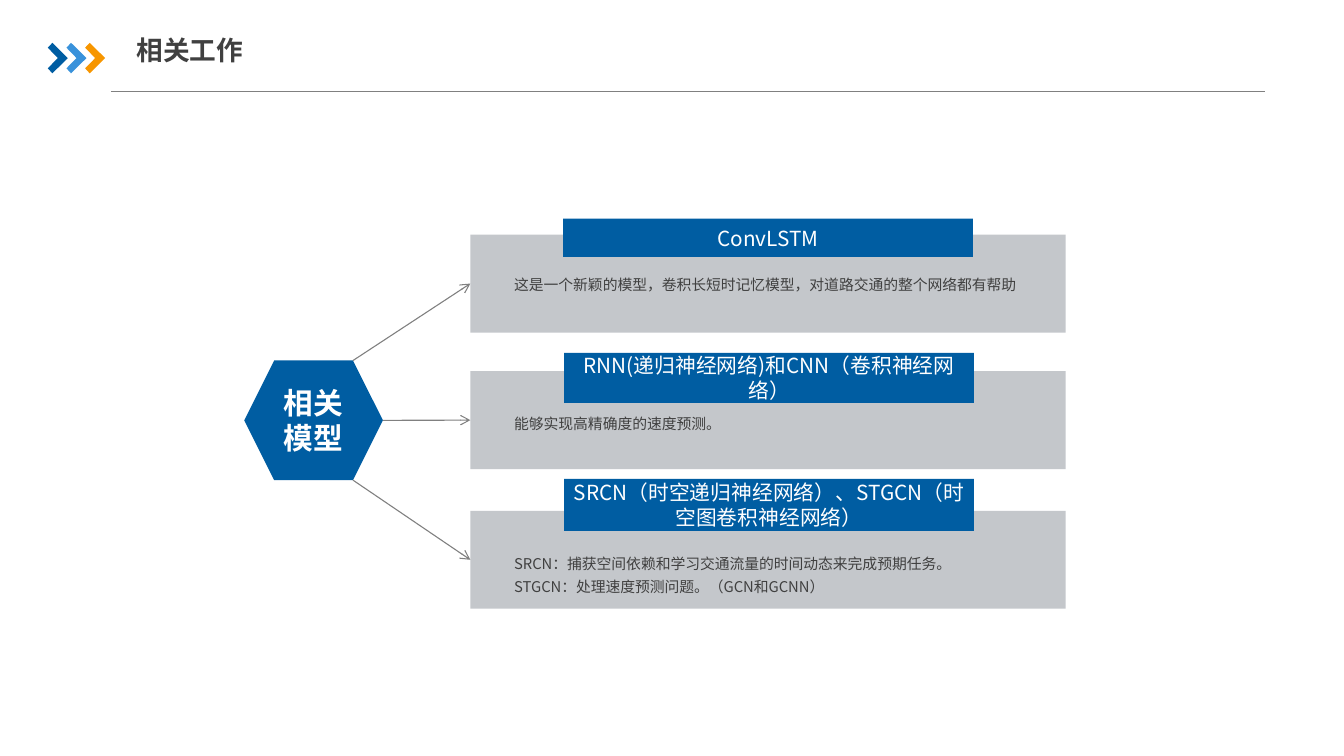
from lxml import etree
from pptx import Presentation
from pptx.dml.color import RGBColor
from pptx.enum import shapes, text
from pptx.oxml import ns
from pptx.util import Pt

BLUE = RGBColor(0x00, 0x5D, 0xA2)
SKY = RGBColor(0x39, 0x92, 0xDB)
ORANGE = RGBColor(0xF7, 0x96, 0x00)
CARD = RGBColor(0xC4, 0xC7, 0xCB)
LINE = RGBColor(0x80, 0x80, 0x80)
DARK = RGBColor(0x40, 0x40, 0x40)
WHITE = RGBColor(0xFF, 0xFF, 0xFF)
FONT = "Noto Sans CJK SC"

CHEVRON = [(0, 3.3), (3.1, 0), (13.5, 10.3), (3.1, 20.6), (0, 17.2), (6.8, 10.3)]

# Card top, label (left, top, height), body top, body lines; tops are page positions
MODELS = [
    (158.4, (380.2, 147.6, 25.9), 180, "ConvLSTM",
     ["这是一个新颖的模型，卷积长短时记忆模型，对道路交通的整个网络都有帮助"]),
    (250.6, (380.9, 238.3, 33.8), 273.6, "RNN(递归神经网络)和CNN（卷积神经网络）",
     ["能够实现高精确度的速度预测。"]),
    (344.9, (380.9, 323.3, 35.3), 367.9, "SRCN（时空递归神经网络）、STGCN（时空图卷积神经网络）",
     ["SRCN：捕获空间依赖和学习交通流量的时间动态来完成预期任务。",
      "STGCN：处理速度预测问题。（GCN和GCNN）"]),
]


def write(sp, lines, size, color, bold=False, align=None, spacing=None,
          anchor=text.MSO_ANCHOR.MIDDLE, inset=(5.8, 2.9)):
    tf = sp.text_frame
    tf.word_wrap = True
    tf.vertical_anchor = anchor
    tf.margin_left = tf.margin_right = Pt(inset[0])
    tf.margin_top = tf.margin_bottom = Pt(inset[1])
    for i, line in enumerate(lines):
        p = tf.add_paragraph() if i else tf.paragraphs[0]
        p.alignment = align
        p.line_spacing = spacing
        r = p.add_run()
        r.text = line
        r.font.size, r.font.bold, r.font.name = Pt(size), bold, FONT
        r.font.color.rgb = color
        # East Asian typeface
        etree.SubElement(r._r.get_or_add_rPr(), ns.qn("a:ea"), typeface=FONT)


def paint(sp, color):
    sp.shadow.inherit = False
    sp.fill.solid()
    sp.fill.fore_color.rgb = color
    sp.line.fill.background()
    return sp


def add_box(slide, kind, box, color):
    return paint(slide.shapes.add_shape(kind, *map(Pt, box)), color)


def add_line(slide, start, end, arrow=False):
    line = slide.shapes.add_connector(
        shapes.MSO_CONNECTOR.STRAIGHT, *map(Pt, (*start, *end)))
    line.line.color.rgb = LINE
    line.line.width = Pt(0.75)
    if arrow:
        etree.SubElement(line.line._get_or_add_ln(), ns.qn("a:tailEnd"), type="arrow")
    etree.SubElement(line._element.spPr, ns.qn("a:effectLst"))
    return line


def add_header(slide, left, top, width, height):
    # Rule and chevrons
    add_line(slide, (left + 42.6, top + height), (left + width, top + height))
    for i, color in enumerate((BLUE, SKY, ORANGE)):
        pts = [(Pt(left + 12.6 * i + x), Pt(top + 10.2 + y)) for x, y in CHEVRON]
        builder = slide.shapes.build_freeform(*pts[0])
        builder.add_line_segments(pts[1:], close=True)
        paint(builder.convert_to_shape(), color)
    # Title
    sp = slide.shapes.add_textbox(Pt(left + 59.9), Pt(top), Pt(639.4), Pt(30.2))
    write(sp, ["相关工作"], 18, DARK, bold=True, inset=(0, 3.6))


def add_model(slide, left, width, model):
    top, (label_left, label_top, label_height), body_top, name, lines = model
    rect = shapes.MSO_SHAPE.RECTANGLE
    card = add_box(slide, rect, (left, top, width, 66.2), CARD)
    label = add_box(slide, rect, (label_left, label_top, 276.5, label_height), BLUE)
    write(label, [name], 14, WHITE, align=text.PP_ALIGN.CENTER)
    body = slide.shapes.add_textbox(
        Pt(left + 23.8), Pt(body_top), Pt(357.1), Pt(2 + 17.4 * len(lines)))
    write(body, lines, 10, DARK, spacing=1.3, anchor=text.MSO_ANCHOR.TOP)
    return card


def add_diagram(slide, left, top, width, height):
    # Central hexagon
    hub_w, hub_h = 93.6, 80.8
    hub_top = top + (height - hub_h) / 2
    hub = add_box(slide, shapes.MSO_SHAPE.HEXAGON, (left, hub_top, hub_w, hub_h), BLUE)
    write(hub, ["相关模型"], 20, WHITE, bold=True, align=text.PP_ALIGN.CENTER)
    # Cards, each reached by an arrow from a right-hand corner of the hexagon
    corner = left + hub_w - hub_h / 4
    starts = [(corner, hub_top), (left + hub_w, hub_top + hub_h / 2),
              (corner, hub_top + hub_h)]
    card_left = left + 152.6
    for start, model in zip(starts, MODELS):
        card = add_model(slide, card_left, left + width - card_left, model)
        arrow = add_line(slide, start, (card_left, model[0] + 33.1), arrow=True)
        arrow.end_connect(card, 1)


def main():
    prs = Presentation()
    prs.slide_width, prs.slide_height = Pt(907.2), Pt(510.5)
    slide = prs.slides.add_slide(prs.slide_layouts[6])
    add_header(slide, 32.3, 18.7, 821.6, 43.2)
    add_diagram(slide, 164.9, 156.6, 554.4, 254.5)
    prs.save("out.pptx")


if __name__ == "__main__":
    main()
